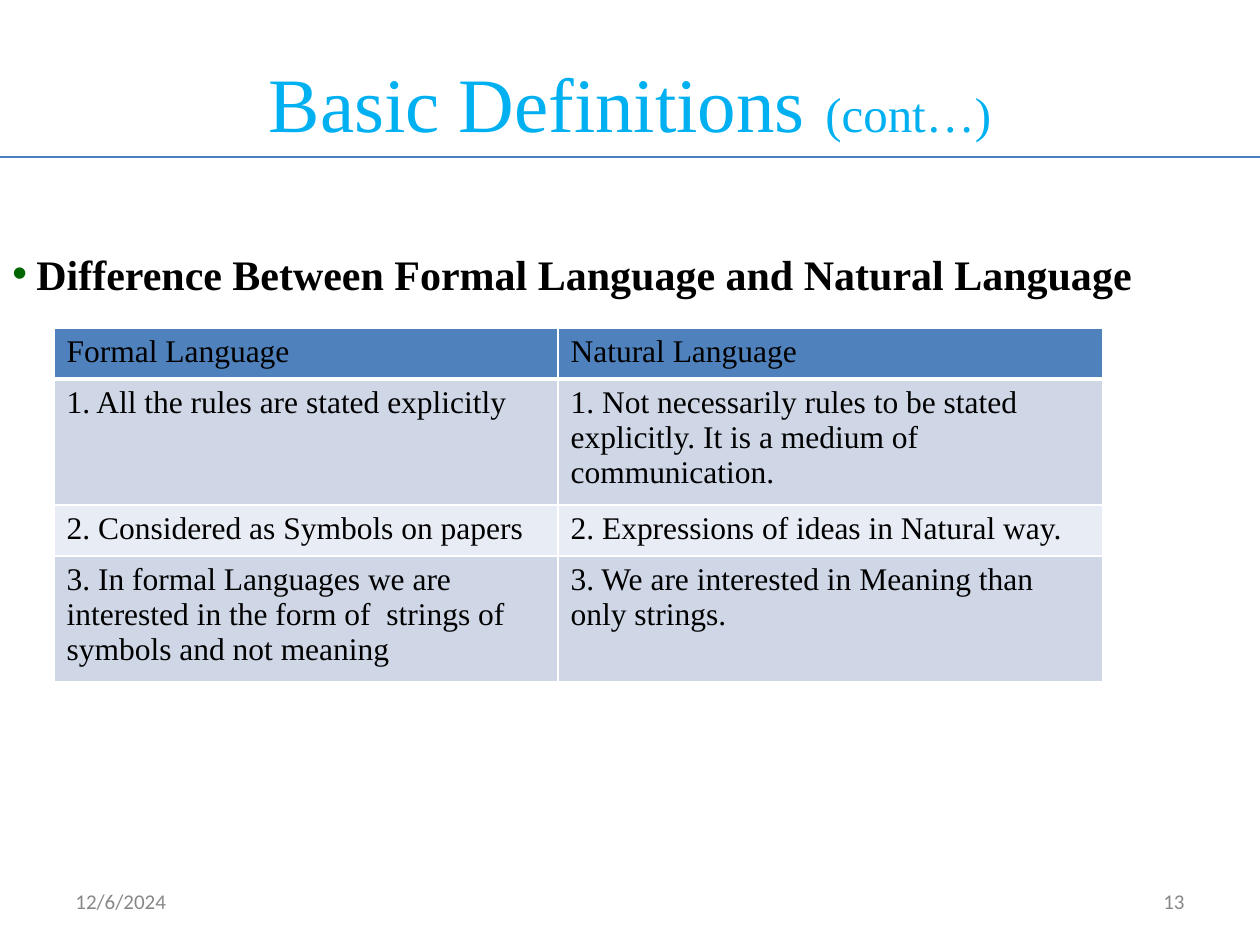
from lxml import etree
from pptx import Presentation
from pptx.dml.color import RGBColor
from pptx.enum.shapes import MSO_CONNECTOR
from pptx.enum.text import MSO_ANCHOR, PP_ALIGN
from pptx.oxml.ns import qn
from pptx.util import Emu, Pt

LEFT, CENTER, RIGHT = PP_ALIGN.LEFT, PP_ALIGN.CENTER, PP_ALIGN.RIGHT
TOP, MIDDLE = MSO_ANCHOR.TOP, MSO_ANCHOR.MIDDLE
STRAIGHT = MSO_CONNECTOR.STRAIGHT
PX_PER_INCH = 126
SERIF, SANS = "Times New Roman", "Calibri"
COLORS = {
    "title": "00B0F0",
    "text": "000000",
    "bullet": "006600",
    "footer": "888888",
    "rule": "4A7DBA",
    "header": "4F81BD",
    "odd_row": "CFD7E7",
    "even_row": "E8ECF4",
    "border": "FFFFFF",
}
ROWS = [
    ("Formal Language", "Natural Language"),
    ("1. All the rules are stated explicitly",
     "1. Not necessarily rules to be stated explicitly. It is a medium of communication."),
    ("2. Considered as Symbols on papers", "2. Expressions of ideas in Natural way."),
    ("3. In formal Languages we are interested in the form of  strings of symbols and not meaning",
     "3. We are interested in Meaning than only strings."),
]


def px(length):
    return Emu(round(length * 914400 / PX_PER_INCH))


def rgb(name):
    return RGBColor.from_string(COLORS[name])


class Page:
    """Holds the current slide and draws styled elements on it."""

    def __init__(self, deck):
        self.slide = deck.slides.add_slide(deck.slide_layouts[6])
        self.shapes = self.slide.shapes

    def style(self, span, size, color, font=SERIF, bold=False):
        span.font.name = font
        span.font.size = Pt(size)
        span.font.bold = bold
        span.font.color.rgb = rgb(color)

    def text(self, left, top, width, height, spans, color, font=SERIF,
             align=LEFT, anchor=MIDDLE, bold=False):
        """Add one paragraph made of (text, size) spans and return it."""
        box = self.shapes.add_textbox(px(left), px(top), px(width), px(height))
        frame = box.text_frame
        frame.word_wrap = True
        frame.vertical_anchor = anchor
        para = frame.paragraphs[0]
        para.alignment = align
        for words, size in spans:
            span = para.add_run()
            span.text = words
            self.style(span, size, color, font, bold)
        return para

    def bullet(self, para, hang):
        props = para._p.get_or_add_pPr()
        props.set("marL", str(px(hang)))
        props.set("indent", str(-px(hang)))
        color = etree.SubElement(props, qn("a:buClr"))
        etree.SubElement(color, qn("a:srgbClr"), val=COLORS["bullet"])
        etree.SubElement(props, qn("a:buFont"), typeface="Arial")
        etree.SubElement(props, qn("a:buChar"), char="•")

    def rule(self, left, top, width):
        line = self.shapes.add_connector(STRAIGHT, px(left), px(top), px(left + width), px(top))
        line.line.color.rgb = rgb("rule")
        line.line.width = Pt(0.75)
        etree.SubElement(line._element.spPr, qn("a:effectLst"))

    def borders(self, cell, bottom):
        props = cell._tc.get_or_add_tcPr()
        widths = {"lnL": 1, "lnR": 1, "lnT": 1, "lnB": bottom}
        for index, (side, width) in enumerate(widths.items()):
            edge = etree.Element(qn(f"a:{side}"), w=str(Pt(width)))
            fill = etree.SubElement(edge, qn("a:solidFill"))
            etree.SubElement(fill, qn("a:srgbClr"), val=COLORS["border"])
            props.insert(index, edge)

    def table(self, left, top, widths, heights, rows):
        table = self.shapes.add_table(len(rows), len(widths), px(left), px(top),
                                      px(sum(widths)), px(sum(heights))).table
        for column, width in zip(table.columns, widths):
            column.width = px(width)
        for number, (row, height, texts) in enumerate(zip(table.rows, heights, rows)):
            row.height = px(height)
            fill = "header" if number == 0 else ("even_row", "odd_row")[number % 2]
            for cell, words in zip(row.cells, texts):
                cell.text_frame.text = words
                self.style(cell.text_frame.paragraphs[0].runs[0], 18, "text")
                cell.fill.solid()
                cell.fill.fore_color.rgb = rgb(fill)
                self.borders(cell, bottom=3 if number == 0 else 1)


def main():
    deck = Presentation()
    deck.slide_width, deck.slide_height = px(1260), px(945)
    page = Page(deck)

    page.text(0, 0, 1260, 203, [("Basic Definitions ", 44), ("(cont…)", 28)],
              "title", align=CENTER)
    page.rule(0, 157, 1260)

    heading = page.text(0, 252, 1260, 54,
                        [("Difference Between Formal Language and Natural Language", 24)],
                        "text", anchor=TOP, bold=True)
    heading.line_spacing = 0.8
    page.bullet(heading, 24)

    page.table(54, 328, [504, 545], [51, 117, 51, 117], ROWS)

    page.text(63, 876, 294, 50, [("12/6/2024", 12)], "footer", SANS)
    page.text(903, 876, 294, 50, [("13", 12)], "footer", SANS, align=RIGHT)
    deck.save("out.pptx")


if __name__ == "__main__":
    main()
